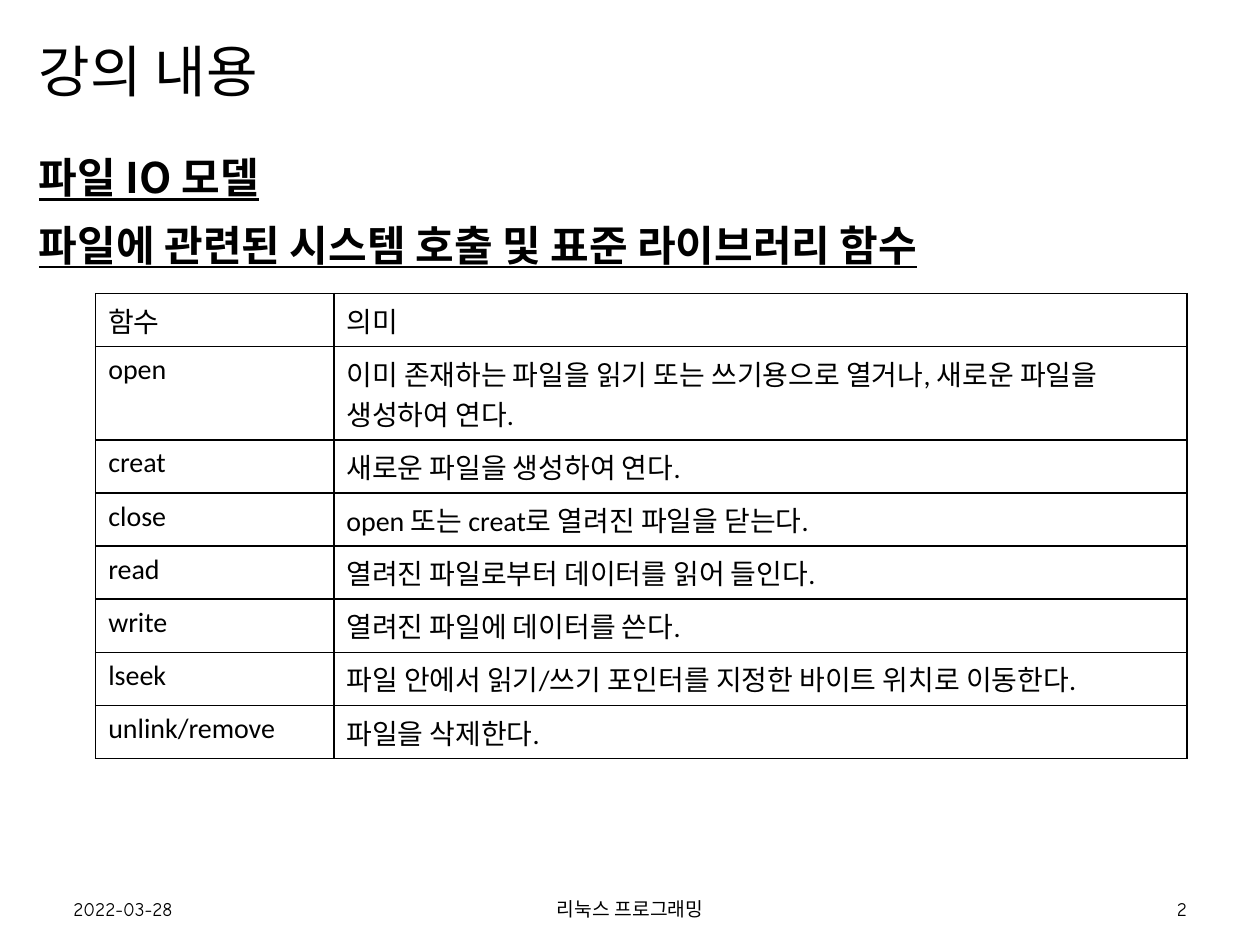
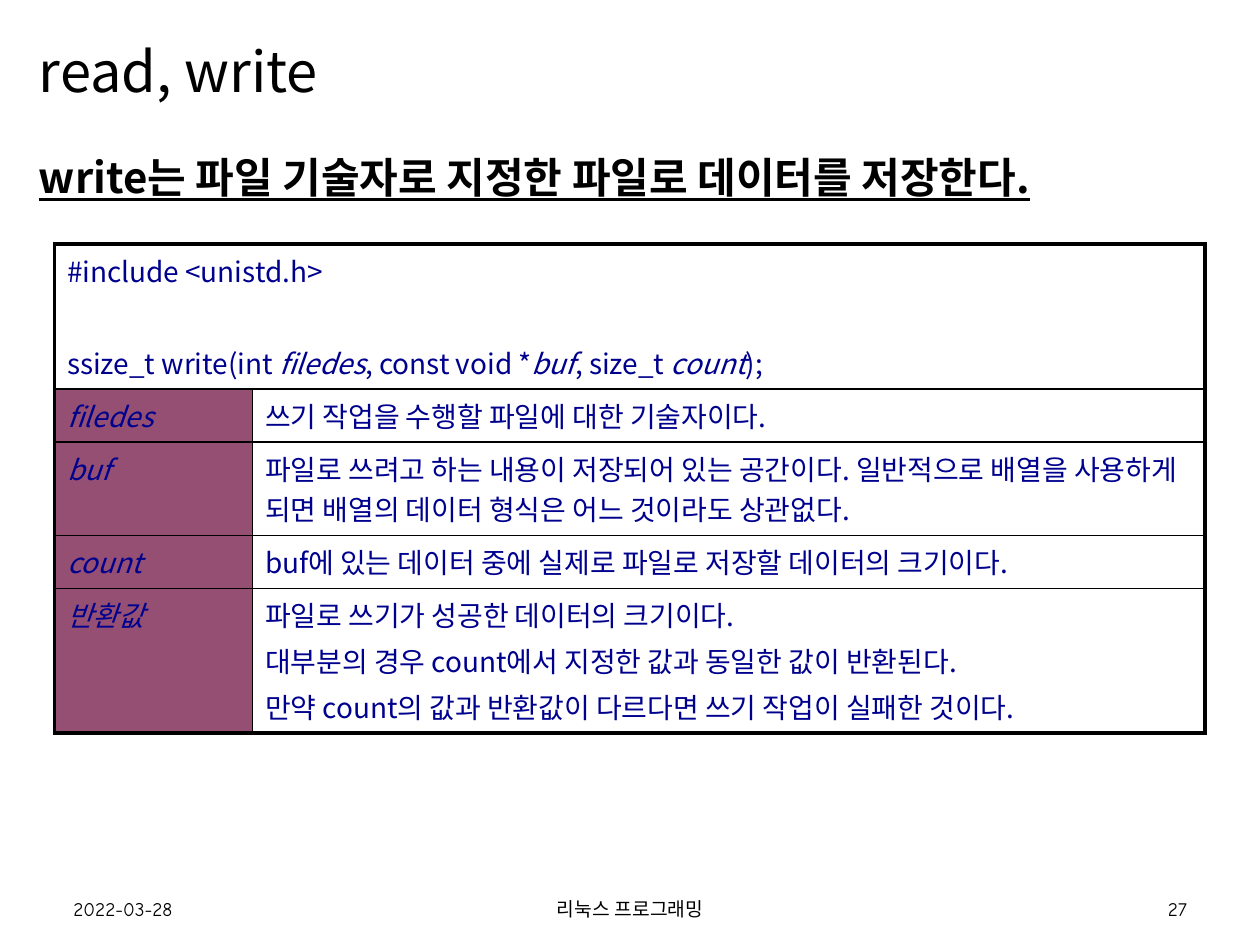
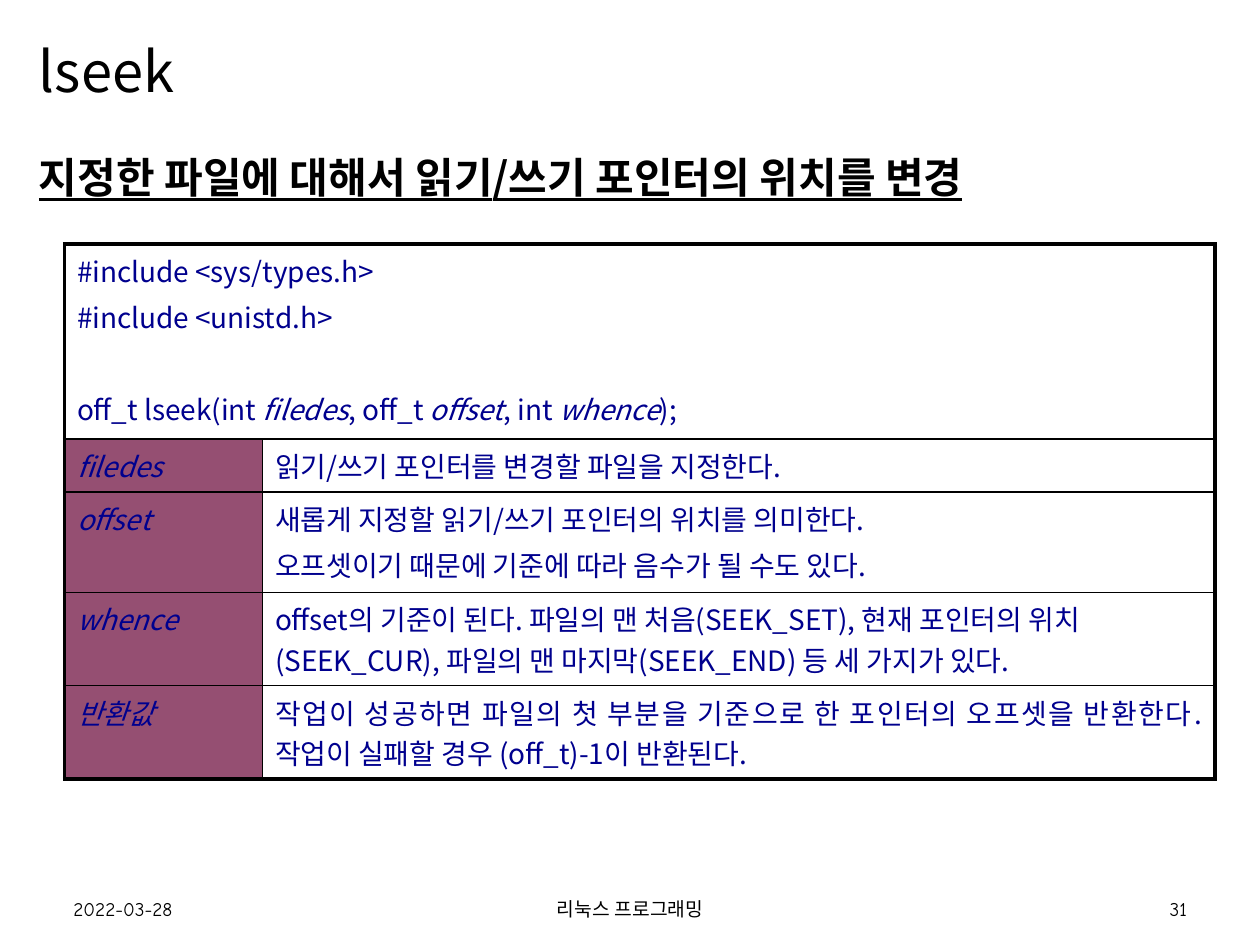
import pptx
import pptx.util
import pptx.dml.color
import pptx.enum.text
from lxml import etree
from pptx.util import Cm, Pt

HUES = {"ink": "000000", "code": "00008E", "label": "954F72"}
SANS, PLAIN, HAND = "Noto Sans CJK KR", "Calibri", "Comic Neue"
ALIGN = pptx.enum.text.PP_ALIGN
MIDDLE = pptx.enum.text.MSO_ANCHOR.MIDDLE
DRAW = "http://schemas.openxmlformats.org/drawingml/2006/main"
GAP = 3.2
BLANK = 29.5  # space that stands for an empty line of code
ONE, TWO = 1.07, 1.88  # heights of rows with one and two lines

FUNCS = [
    ("함수", "의미"),
    ("open", "이미 존재하는 파일을 읽기 또는 쓰기용으로 열거나, 새로운 파일을 생성하여 연다."),
    ("creat", "새로운 파일을 생성하여 연다."),
    ("close", "open 또는 creat로 열려진 파일을 닫는다."),
    ("read", "열려진 파일로부터 데이터를 읽어 들인다."),
    ("write", "열려진 파일에 데이터를 쓴다."),
    ("lseek", "파일 안에서 읽기/쓰기 포인터를 지정한 바이트 위치로 이동한다."),
    ("unlink/remove", "파일을 삭제한다."),
]
# In a tuple of runs, every second run is italic.
WRITE = {
    "heads": ["#include <unistd.h>"],
    "call": ("ssize_t write(int ", "filedes", ", const void *", "buf",
             ", size_t ", "count", ");"),
    "args": [
        ("filedes", ["쓰기 작업을 수행할 파일에 대한 기술자이다."]),
        ("buf", ["파일로 쓰려고 하는 내용이 저장되어 있는 공간이다. 일반적으로 배열을 "
                 "사용하게 되면 배열의 데이터 형식은 어느 것이라도 상관없다."]),
        ("count", ["buf에 있는 데이터 중에 실제로 파일로 저장할 데이터의 크기이다."]),
        ("반환값", ["파일로 쓰기가 성공한 데이터의 크기이다.",
                 "대부분의 경우 count에서 지정한 값과 동일한 값이 반환된다.",
                 "만약 count의 값과 반환값이 다르다면 쓰기 작업이 실패한 것이다."]),
    ],
}
LSEEK = {
    "heads": ["#include <sys/types.h>", "#include <unistd.h>"],
    "call": ("off_t lseek(int ", "filedes", ", off_t ", "offset",
             ", int ", "whence", ");"),
    "args": [
        ("filedes", ["읽기/쓰기 포인터를 변경할 파일을 지정한다."]),
        ("offset", ["새롭게 지정할 읽기/쓰기 포인터의 위치를 의미한다.",
                    "오프셋이기 때문에 기준에 따라 음수가 될 수도 있다."]),
        ("whence", ["offset의 기준이 된다. 파일의 맨 처음(SEEK_SET), 현재 포인터의 "
                    "위치(SEEK_CUR), 파일의 맨 마지막(SEEK_END) 등 세 가지가 있다."]),
        ("반환값", ["작업이 성공하면 파일의 첫 부분을 기준으로 한 포인터의 오프셋을 "
                 "반환한다. 작업이 실패할 경우 (off_t)-1이 반환된다."]),
    ],
}


def tint(hue):
    return pptx.dml.color.RGBColor.from_string(HUES[hue])


def write(frame, paras, size=16, name=SANS, hue="ink", bold=None, under=None,
          ital=False, align=ALIGN.LEFT, gap=GAP, last=None, lead=None,
          bare=False, kern=False):
    """Fill a frame; last is the space before the closing paragraph."""
    frame.word_wrap = True
    for i, runs in enumerate(paras):
        para = frame.add_paragraph() if i else frame.paragraphs[0]
        if bare:
            props = para._p.get_or_add_pPr()
            props.set("marL", "0")
            props.set("indent", "0")
            etree.SubElement(props, f"{{{DRAW}}}buNone")
        para.alignment = align
        end = last is not None and i == len(paras) - 1
        para.space_before = Pt((last if end else gap) if i else 0)
        if lead:
            para.line_spacing = lead
        for j, text in enumerate((runs,) if isinstance(runs, str) else runs):
            run = para.add_run()
            run.text = text
            font = run.font
            font.size, font.name = Pt(size), name
            font.bold, font.underline = bold, under
            font.italic = ital or j % 2 == 1
            font.color.rgb = tint(hue)
            props = run._r.get_or_add_rPr()
            etree.SubElement(props, f"{{{DRAW}}}ea").set("typeface", SANS)
            if not kern:
                props.set("kern", "0")


def place(shape, left, top, width, height):
    shape.left, shape.top = Cm(left), Cm(top)
    shape.width, shape.height = Cm(width), Cm(height)


def add_page(deck, title, points, number):
    page = deck.slides.add_slide(deck.slide_layouts[1])
    head, body = page.placeholders
    place(head, 0.53, 0.27, 24.33, 2.46)
    place(body, 0.53, 2.92, 24.33, 14.86)
    head.text_frame.vertical_anchor = MIDDLE
    for box in (head, body):
        box.text_frame.auto_size = pptx.enum.text.MSO_AUTO_SIZE.NONE
    write(head.text_frame, [title], size=32, lead=0.9)
    write(body.text_frame, points, size=24, bold=True, under=True,
          gap=10, bare=True)
    for text, left, width, align in (
            ("2022-03-28", 1.23, 5.72, ALIGN.LEFT),
            ("리눅스 프로그래밍", 8.41, 8.59, ALIGN.CENTER),
            (str(number), 18.46, 5.72, ALIGN.RIGHT)):
        foot = page.shapes.add_textbox(
            Cm(left), Cm(17.96), Cm(width), Cm(0.71)).text_frame
        foot.vertical_anchor = MIDDLE
        write(foot, [text], size=11, name=HAND, align=align, kern=True)
    return page


def add_grid(page, left, top, cols, rows, rim, banner=False):
    """Add an unfilled table; rim is the width of its outer border."""
    table = page.shapes.add_table(
        len(rows), len(cols), Cm(left), Cm(top),
        Cm(sum(cols)), Cm(sum(rows))).table
    table.first_row = table.horz_banding = False
    for col, width in zip(table.columns, cols):
        col.width = Cm(width)
    for row, height in zip(table.rows, rows):
        row.height = Cm(height)
    for r in range(len(rows)):
        wide = banner and r == 0
        for c in range(len(cols)):
            cell = table.cell(r, c)
            edge(cell, {"L": c == 0 or wide, "R": c == len(cols) - 1 or wide,
                        "T": r == 0, "B": r == len(rows) - 1}, rim)
            cell.fill.background()
    if banner:
        table.cell(0, 0).merge(table.cell(0, len(cols) - 1))
    return table


def edge(cell, sides, rim):
    """Draw the four borders; sides tells which are on the table's rim."""
    props = cell._tc.get_or_add_tcPr()
    for side, outer in sides.items():
        line = etree.SubElement(props, f"{{{DRAW}}}ln{side}")
        line.set("w", str(Pt(rim if outer else 1)))
        fill = etree.SubElement(line, f"{{{DRAW}}}solidFill")
        etree.SubElement(fill, f"{{{DRAW}}}srgbClr").set("val", HUES["ink"])


def add_spec(page, left, rows, call):
    """Add a table of a call's prototype, arguments and return value."""
    table = add_grid(page, left, 4.92, [3.99, 19.2], rows, 2.25, banner=True)
    write(table.cell(0, 0).text_frame, call["heads"] + [call["call"]],
          hue="code", last=BLANK)
    for r, (label, notes) in enumerate(call["args"], 1):
        name, text = table.cell(r, 0), table.cell(r, 1)
        name.fill.solid()
        name.fill.fore_color.rgb = tint("label")
        write(name.text_frame, [label], hue="code", ital=True)
        final = r == len(call["args"])
        write(text.text_frame, notes, hue="code",
              align=ALIGN.JUSTIFY if final else ALIGN.LEFT)


def main():
    deck = pptx.Presentation()
    deck.slide_width, deck.slide_height = Cm(25.4), Cm(19.05)

    page = add_page(deck, "강의 내용", [
        "파일 IO 모델", "파일에 관련된 시스템 호출 및 표준 라이브러리 함수"], 2)
    rows = [ONE, TWO] + [ONE] * (len(FUNCS) - 2)
    table = add_grid(page, 1.93, 5.92, [4.8, 17.2], rows, 1)
    for r, pair in enumerate(FUNCS):
        for c, text in enumerate(pair):
            write(table.cell(r, c).text_frame, [text], name=PLAIN)

    page = add_page(deck, "read, write", [
        "write는 파일 기술자로 지정한 파일로 데이터를 저장한다."], 27)
    add_spec(page, 1.1, [2.92, ONE, TWO, ONE, 2.92], WRITE)

    page = add_page(deck, "lseek", [
        "지정한 파일에 대해서 읽기/쓰기 포인터의 위치를 변경"], 31)
    add_spec(page, 1.3, [3.93, ONE, 2.02, TWO, TWO], LSEEK)

    deck.save("out.pptx")


if __name__ == "__main__":
    main()
